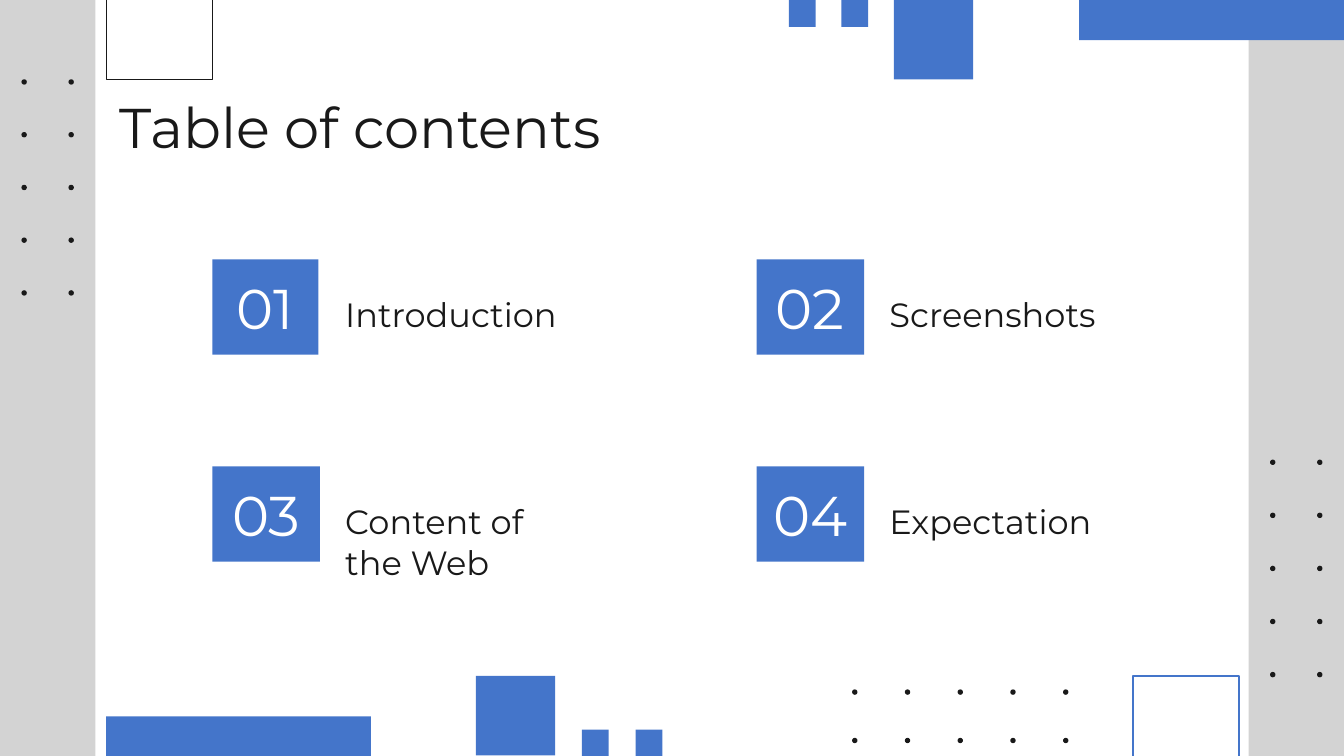
import pptx
import pptx.dml.color
import pptx.enum.shapes
import pptx.enum.text
import pptx.util
from pptx.util import Inches

BLUE = "4475CA"
DARK = "191919"
GREY = "D3D3D3"
WHITE = "FFFFFF"
WIDTH = 10
HEIGHT = WIDTH * 9 / 16
SHAPE = pptx.enum.shapes.MSO_SHAPE
ANCHOR = pptx.enum.text.MSO_ANCHOR
ALIGN = pptx.enum.text.PP_ALIGN


def rgb(value):
    return pptx.dml.color.RGBColor.from_string(value)


class Deck:
    font = "Montserrat"
    dot_size = 0.04

    def __init__(self, width, height):
        self.prs = pptx.Presentation()
        self.prs.slide_width = Inches(width)
        self.prs.slide_height = Inches(height)
        self.s = self.prs.slides.add_slide(self.prs.slide_layouts[5])

    def shape(self, kind, box, fill=None, line=None, parent=None):
        shapes = (parent or self.s).shapes
        sp = shapes.add_shape(kind, *[Inches(v) for v in box])
        sp.shadow.inherit = False
        if fill:
            sp.fill.solid()
            sp.fill.fore_color.rgb = rgb(fill)
        else:
            sp.fill.background()
        if line:
            sp.line.color.rgb = rgb(line)
            sp.line.width = pptx.util.Pt(0.75)
        else:
            sp.line.fill.background()
        return sp

    def rect(self, box, fill=None, line=None):
        return self.shape(SHAPE.RECTANGLE, box, fill, line)

    def dots(self, left, top, width, height, cols, rows):
        grp = self.s.shapes.add_group_shape()
        for col in range(cols):
            for row in range(rows):
                x = left + col * width / (cols - 1)
                y = top + row * height / (rows - 1)
                self.shape(SHAPE.OVAL, (x, y, self.dot_size, self.dot_size), DARK, parent=grp)

    def text(self, sp, text, size, color=DARK, align=ALIGN.LEFT, anchor=ANCHOR.TOP):
        tf = sp.text_frame
        tf.text = text
        tf.word_wrap = True
        tf.auto_size = pptx.enum.text.MSO_AUTO_SIZE.NONE
        tf.vertical_anchor = anchor
        tf.margin_left = tf.margin_right = tf.margin_top = tf.margin_bottom = Inches(0.1)
        p = tf.paragraphs[0]
        p.alignment = align
        for r in p.runs:
            r.font.name = self.font
            r.font.size = pptx.util.Pt(size)
            r.font.color.rgb = rgb(color)

    def title(self, text, box):
        sp = self.s.shapes.title
        sp.left, sp.top, sp.width, sp.height = [Inches(v) for v in box]
        self.text(sp, text, 30)

    def entry(self, left, top, number, label, width=0.8):
        sp = self.rect((left, top, width, 0.71), BLUE)
        self.text(sp, number, 30, WHITE, ALIGN.CENTER, ANCHOR.MIDDLE)
        tb = self.s.shapes.add_textbox(
            Inches(left + 0.89), Inches(top + 0.16), Inches(1.9), Inches(0.54))
        self.text(tb, label, 18)


def main():
    deck = Deck(WIDTH, HEIGHT)

    for left in (0, 9.29):
        deck.rect((left, 0, 0.71, HEIGHT), GREY)
    for box in [
        (6.65, 0, 0.59, 0.59), (6.26, 0, 0.2, 0.2), (5.87, 0, 0.2, 0.2),
        (8.03, 0, 1.97, 0.3),
        (3.54, 5.03, 0.59, 0.59), (4.33, 5.43, 0.2, 0.2), (4.73, 5.43, 0.2, 0.2),
        (0.79, 5.33, 1.97, 0.3),
    ]:
        deck.rect(box, BLUE)
    deck.rect((8.43, 5.03, 0.79, 0.79), line=BLUE)
    deck.rect((0.79, -0.2, 0.79, 0.79), line=DARK)

    deck.dots(0.16, 0.59, 0.35, 1.57, 2, 5)
    deck.dots(9.45, 3.42, 0.35, 1.58, 2, 5)
    deck.dots(6.34, 5.13, 1.57, 0.36, 5, 2)

    deck.title("Table of contents", (0.79, 0.59, 8.43, 0.71))
    deck.entry(1.58, 1.93, "01", "Introduction", width=0.79)
    deck.entry(5.63, 1.93, "02", "Screenshots")
    deck.entry(1.58, 3.47, "03", "Content of the Web")
    deck.entry(5.63, 3.47, "04", "Expectation")

    deck.prs.save("out.pptx")


if __name__ == "__main__":
    main()
